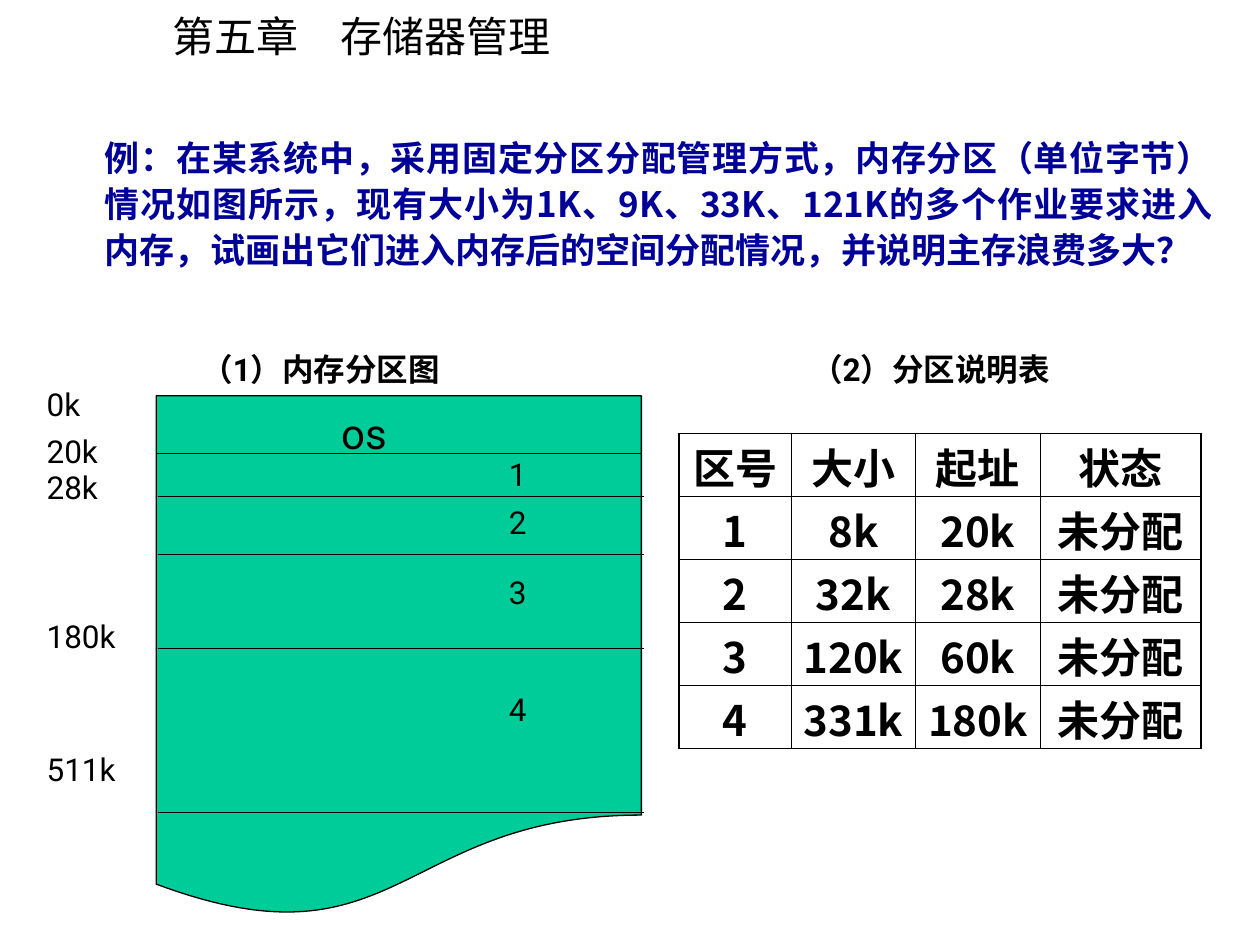
"""Build the slide on fixed partition allocation: memory map and partition table."""
from dataclasses import dataclass

from lxml.etree import SubElement
from pptx import Presentation
from pptx.dml.color import RGBColor
from pptx.enum.shapes import MSO_CONNECTOR, MSO_SHAPE
from pptx.enum.text import MSO_ANCHOR, MSO_AUTO_SIZE, PP_ALIGN
from pptx.oxml.ns import qn
from pptx.util import Cm, Pt


@dataclass(frozen=True)
class Theme:
    ink: RGBColor = RGBColor(0x00, 0x00, 0x00)
    question: RGBColor = RGBColor(0x00, 0x00, 0x99)
    memory: RGBColor = RGBColor(0x00, 0xCC, 0x99)
    large: Pt = Pt(24)
    medium: Pt = Pt(20)
    small: Pt = Pt(18)
    chinese: str = "Noto Sans CJK SC"
    latin: str = "Roboto"
    serif: str = "Times New Roman"


theme = Theme()


def write(paragraph, text, size, name, bold=False, color=theme.ink):
    run = paragraph.add_run()
    run.text = text
    run.font.color.rgb = color
    for key, value in {"size": size, "name": name, "bold": bold}.items():
        setattr(run.font, key, value)
    SubElement(run.font._element, qn("a:ea"), typeface=theme.chinese)


def add_label(left, top, width, height, runs, size=theme.small, bold=False):
    frame = slide.shapes.add_textbox(Cm(left), Cm(top), Cm(width), Cm(height)).text_frame
    frame.word_wrap = True
    for text, name in runs:
        write(frame.paragraphs[0], text, size, name, bold)
    return frame


presentation = Presentation()
presentation.slide_width, presentation.slide_height = Cm(25.4), Cm(19.05)
slide = presentation.slides.add_slide(presentation.slide_layouts[1])

chapter = slide.shapes.title
question = slide.placeholders[1]
chapter_paragraph = chapter.text_frame.paragraphs[0]
question_paragraph = question.text_frame.paragraphs[0]
heading_formats = [
    (chapter, {"left": Cm(3.23), "top": Cm(0.08), "width": Cm(8.31), "height": Cm(1.27)}),
    (chapter.text_frame, {
        "word_wrap": False, "auto_size": MSO_AUTO_SIZE.NONE, "vertical_anchor": MSO_ANCHOR.MIDDLE,
    }),
    (chapter_paragraph, {"alignment": PP_ALIGN.LEFT}),
    (question, {"left": Cm(0.89), "top": Cm(2.54), "width": Cm(23.8), "height": Cm(4.24)}),
    (question.text_frame, {
        "word_wrap": True, "auto_size": MSO_AUTO_SIZE.NONE, "vertical_anchor": MSO_ANCHOR.TOP,
    }),
    (question_paragraph, {
        "alignment": PP_ALIGN.JUSTIFY, "line_spacing": Pt(26.4), "space_before": Pt(0),
    }),
]
for target, formats in heading_formats:
    for key, value in formats.items():
        setattr(target, key, value)

write(chapter_paragraph, "第五章　存储器管理", theme.large, theme.chinese)
question_properties = question_paragraph._p.get_or_add_pPr()
question_properties.set("marL", str(Cm(0.97)))
question_properties.set("indent", "0")
SubElement(question_properties, qn("a:buNone"))
write(
    question_paragraph,
    "例：在某系统中，采用固定分区分配管理方式，内存分区（单位字节）情况如图所示，"
    "现有大小为1K、9K、33K、121K的多个作业要求进入内存，"
    "试画出它们进入内存后的空间分配情况，并说明主存浪费多大？",
    theme.medium, theme.chinese, True, theme.question,
)

memory = slide.shapes.add_shape(
    MSO_SHAPE.FLOWCHART_DOCUMENT, Cm(3.15), Cm(7.98), Cm(9.78), Cm(10.54)
)
memory.shadow.inherit = False
memory.fill.solid()
memory.fill.fore_color.rgb = theme.memory
memory.line.color.rgb = theme.ink
memory.line.width = Pt(0.75)

boundaries = [(3.15, 9.14, 12.93, 9.14), (3.15, 16.38, 3.15, 7.98)]
boundaries += [(3.18, y, 12.98, y) for y in (10.01, 11.18, 13.08, 16.38)]
for ends in boundaries:
    boundary = slide.shapes.add_connector(MSO_CONNECTOR.STRAIGHT, *map(Cm, ends))
    boundary.line.color.rgb = theme.ink
    boundary.line.width = Pt(0.75)
    SubElement(boundary._element.spPr, qn("a:effectLst"))

add_label(6.63, 8.1, 1.91, 1.27, [("os", theme.latin)], theme.large)
for number, top in enumerate((9.04, 10.01, 11.43, 13.79), start=1):
    add_label(10.01, top, 2.79, 1.02, [(str(number), theme.latin)])

addresses = add_label(0.69, 7.65, 3.15, 8.36, [("0k", theme.latin)])
for address, gap in (("20k", 5.9), ("28k", 0), ("180k", 64), ("511k", 55)):
    paragraph = addresses.add_paragraph()
    paragraph.space_before = Pt(gap)
    write(paragraph, address, theme.small, theme.latin)
for paragraph in addresses.paragraphs:
    paragraph.line_spacing = Pt(21)

add_label(3.81, 6.93, 8.38, 1.02, [("（1）", theme.latin), ("内存分区图", theme.serif)], bold=True)
add_label(16.1, 6.93, 5.92, 1.02, [("（2）分区说明表", theme.latin)], bold=True)

partitions = [
    ("区号", "大小", "起址", "状态"),
    ("1", "8k", "20k", "未分配"),
    ("2", "32k", "28k", "未分配"),
    ("3", "120k", "60k", "未分配"),
    ("4", "331k", "180k", "未分配"),
]
widths = (2.26, 2.51, 2.51, 3.25)
last_row, last_column = len(partitions) - 1, len(widths) - 1
table = slide.shapes.add_table(
    len(partitions), len(widths), Cm(13.69), Cm(8.74), Cm(sum(widths)), Cm(1.27 * len(partitions))
).table
table.first_row = table.horz_banding = False
for column, width in zip(table.columns, widths):
    column.width = Cm(width)

cell_formats = {
    "margin_left": Cm(0.1), "margin_right": Cm(0.1), "margin_top": Cm(0), "margin_bottom": Cm(0),
    "vertical_anchor": MSO_ANCHOR.BOTTOM,
}
for r, partition in enumerate(partitions):
    table.rows[r].height = Cm(1.27)
    for c, value in enumerate(partition):
        cell = table.cell(r, c)
        for key, setting in cell_formats.items():
            setattr(cell, key, setting)
        paragraph = cell.text_frame.paragraphs[0]
        paragraph.alignment = PP_ALIGN.CENTER
        paragraph.line_spacing = Pt(30)
        write(paragraph, value, theme.large, theme.chinese, True)
        outer = {"L": c == 0, "R": c == last_column, "T": r == 0, "B": r == last_row}
        for side, is_outer in outer.items():
            border = SubElement(
                cell._tc.get_or_add_tcPr(), qn(f"a:ln{side}"), w=str(Pt(1.08 if is_outer else 0.45))
            )
            SubElement(SubElement(border, qn("a:solidFill")), qn("a:srgbClr"), val=str(theme.ink))
        cell.fill.background()

presentation.save("out.pptx")
